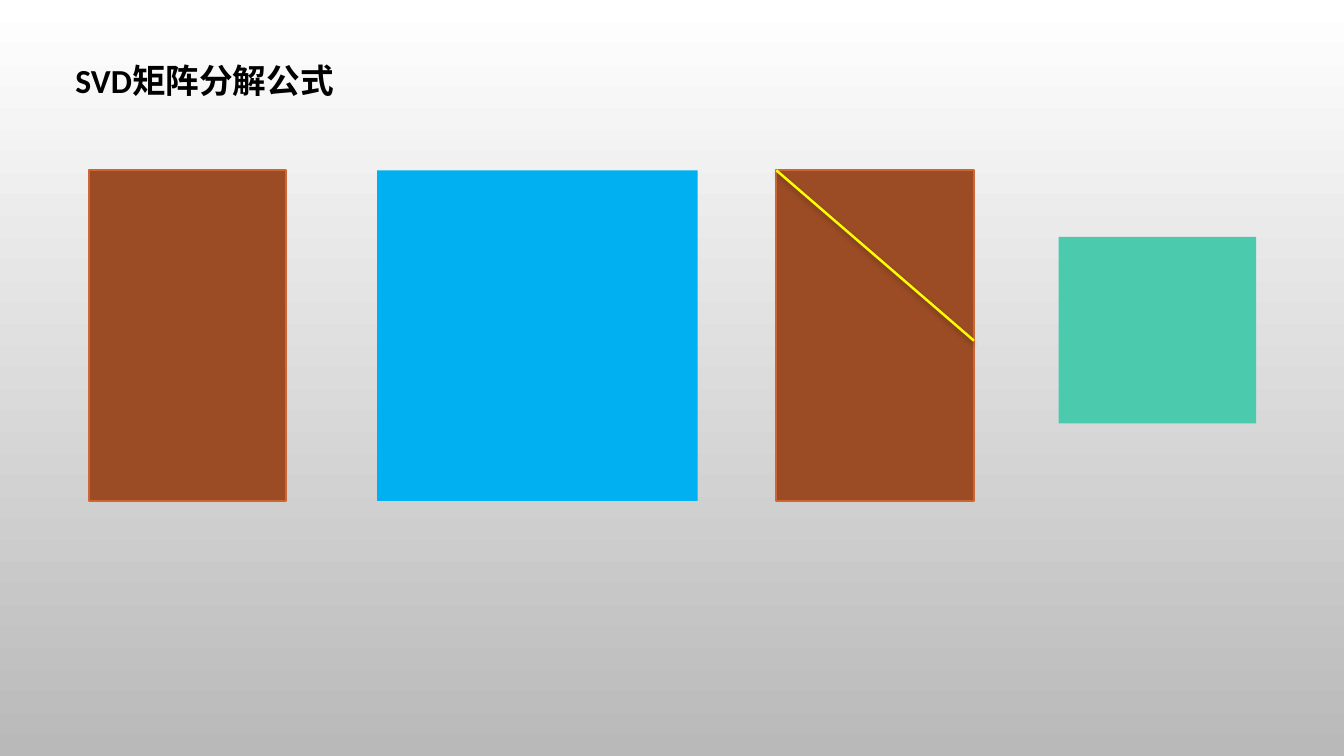
"""Build the slide on the SVD matrix factorisation formula."""
from lxml import etree
from pptx import Presentation
from pptx.dml.color import RGBColor
from pptx.enum.shapes import MSO_CONNECTOR, MSO_SHAPE
from pptx.enum.text import MSO_AUTO_SIZE
from pptx.oxml import parse_xml
from pptx.oxml.ns import nsdecls, qn
from pptx.util import Emu, Pt

RECTANGLE = MSO_SHAPE.RECTANGLE
STRAIGHT = MSO_CONNECTOR.STRAIGHT
FIT_SHAPE = MSO_AUTO_SIZE.SHAPE_TO_FIT_TEXT
EMU_PER_PX = 9144
BROWN, ORANGE, BLUE, TEAL = "9B4C25", "CE6633", "00B0F0", "4BCAAD"
YELLOW, BLACK = "FFFF00", "000000"
TOP, HEIGHT = 169, 328


def px(n):
    """Turn px (100 to the inch) into EMU."""
    return Emu(n * EMU_PER_PX)


def rgb(color):
    """Turn a hex string into a colour."""
    return RGBColor.from_string(color)


def set_background(s, colors):
    """Fill the slide with a gradient from top to bottom."""
    fill = s.background.fill
    fill.gradient()
    fill.gradient_angle = 270
    for stop, color in zip(fill.gradient_stops, colors):
        stop.color.rgb = rgb(color)


def add_matrix(s, left, top, width, height, color, outline=None):
    """Draw a matrix as a filled rectangle."""
    sp = s.shapes.add_shape(RECTANGLE, *map(px, (left, top, width, height)))
    sp.shadow.inherit = False
    sp.fill.solid()
    sp.fill.fore_color.rgb = rgb(color)
    if outline:
        sp.line.color.rgb = rgb(outline)
        sp.line.width = Pt(1.25)
    else:
        sp.line.fill.background()


def add_diagonal(s, x1, y1, x2, y2, color):
    """Draw a line with a soft shadow beneath it."""
    line = s.shapes.add_connector(STRAIGHT, *map(px, (x1, y1, x2, y2)))
    line.line.color.rgb = rgb(color)
    line.line.width = Pt(1.75)
    effects = etree.SubElement(line._element.spPr, qn("a:effectLst"))
    effects.append(parse_xml(
        f'<a:outerShdw {nsdecls("a")} blurRad="{Pt(4)}" dist="{Pt(2)}" '
        f'dir="5400000" rotWithShape="0"><a:srgbClr val="{BLACK}">'
        '<a:alpha val="28000"/></a:srgbClr></a:outerShdw>'))


def add_title(s, left, top, width, height, text):
    """Write the slide title."""
    tf = s.shapes.add_textbox(*map(px, (left, top, width, height))).text_frame
    tf.word_wrap = False
    tf.auto_size = FIT_SHAPE
    p = tf.paragraphs[0]
    p.text = text
    p.font.name = "Calibri"
    p.font.size = Pt(24)
    p.font.bold = True
    p.font.color.rgb = rgb(BLACK)


def main():
    """Build and save the slide."""
    prs = Presentation()
    prs.slide_width, prs.slide_height = px(1333), px(750)
    s = prs.slides.add_slide(prs.slide_layouts[6])
    set_background(s, ("FFFFFF", "B9B9B9"))
    add_matrix(s, 88, TOP, 196, HEIGHT, BROWN, ORANGE)
    add_matrix(s, 374, TOP, 318, HEIGHT, BLUE)
    add_matrix(s, 1050, 235, 196, 185, TEAL)
    add_matrix(s, 770, TOP, 196, HEIGHT, BROWN, ORANGE)
    add_diagonal(s, 770, TOP, 966, 338, YELLOW)
    add_title(s, 65, 55, 286, 50, "SVD矩阵分解公式")
    prs.save("out.pptx")


if __name__ == "__main__":
    main()
